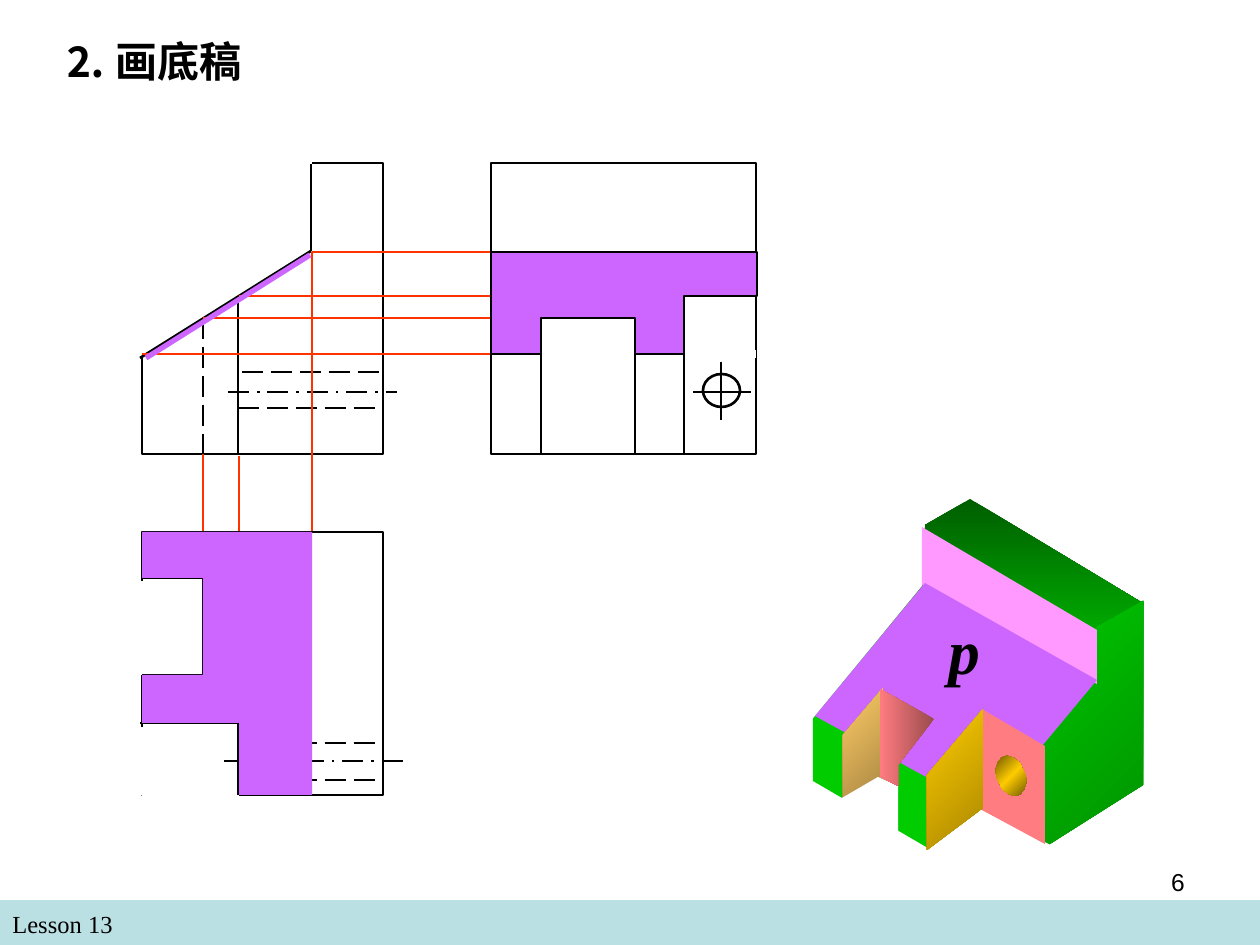
import copy
import math

import pptx
import pptx.dml.color
import pptx.enum.dml
import pptx.enum.shapes
import pptx.enum.text
import pptx.oxml.ns
import pptx.util
from lxml import etree

PX = 914400 / 126
BLACK, WHITE, RED, PURPLE, GREEN = "000000", "FFFFFF", "FF3300", "CC66FF", "00CC00"
DASH = pptx.enum.dml.MSO_LINE.LONG_DASH
DASH_DOT = pptx.enum.dml.MSO_LINE.LONG_DASH_DOT
OUTLINE, MASK = 1.5, 4.25


def px(length):
    return pptx.util.Emu(round(length * PX))


def color(value):
    return pptx.dml.color.RGBColor.from_string(value)


def paint(shape, fill=None, line=None, width=OUTLINE):
    shape.shadow.inherit = False
    if fill:
        shape.fill.solid()
        shape.fill.fore_color.rgb = color(fill)
    else:
        shape.fill.background()
    if line:
        shape.line.color.rgb = color(line)
        shape.line.width = pptx.util.Pt(width)
    else:
        shape.line.fill.background()


def paint_gradient(shape, stops, angle):
    """Spread the stop colours evenly along a clockwise angle."""
    shape.fill.gradient()
    shape.fill.gradient_angle = 360 - angle
    stop_list = shape.element.find(".//" + pptx.oxml.ns.qn("a:gsLst"))
    while len(stop_list) < len(stops):
        stop_list.append(copy.deepcopy(stop_list[-1]))
    for index, stop in enumerate(shape.fill.gradient_stops):
        stop.position = index / (len(stops) - 1)
        stop.color.rgb = color(stops[index])


def add_box(page, kind, left, top, width, height, **style):
    shape = page.shapes.add_shape(kind, px(left), px(top), px(width), px(height))
    paint(shape, **style)


def add_rectangle(page, *box, **style):
    add_box(page, pptx.enum.shapes.MSO_SHAPE.RECTANGLE, *box, **style)


def add_lines(page, left, top, segments, line=BLACK, width=OUTLINE, dash=None):
    """Draw segments (x1, y1, x2, y2) measured from left, top."""
    for x1, y1, x2, y2 in segments:
        connector = page.shapes.add_connector(
            pptx.enum.shapes.MSO_CONNECTOR.STRAIGHT,
            px(left + x1), px(top + y1), px(left + x2), px(top + y2))
        connector.line.color.rgb = color(line)
        connector.line.width = pptx.util.Pt(width)
        if dash:
            connector.line.dash_style = dash
        etree.SubElement(connector.element.spPr, pptx.oxml.ns.qn("a:effectLst"))


def add_polygon(page, left, top, points, **style):
    builder = page.shapes.build_freeform(*points[0], scale=PX)
    builder.add_line_segments(points[1:], close=True)
    shape = builder.convert_to_shape(px(left), px(top))
    paint(shape, **style)
    return shape


def add_text(page, left, top, width, height, text, size, font="Times New Roman",
             bold=False, italic=False, wrap=True, align=None):
    box = page.shapes.add_textbox(px(left), px(top), px(width), px(height))
    box.text_frame.word_wrap = wrap
    para = box.text_frame.paragraphs[0]
    para.text = text
    para.alignment = align
    span = para.runs[0]
    span.font.name = font
    span.font.size = pptx.util.Pt(size)
    span.font.bold = bold
    span.font.italic = italic
    span.font.color.rgb = color(BLACK)


def add_footer(page, left, top, width, height):
    add_rectangle(page, left, top, width, height, fill="BBE0E3")
    add_text(page, left, top + 3, 609, 43, "Lesson 13", 14)
    add_text(page, left + 903, top - 39, 294, 66, "6", 14, font="Arial",
             align=pptx.enum.text.PP_ALIGN.RIGHT)


def add_front_view(page, left, top, width, height):
    add_rectangle(page, left, top, width, height, line=BLACK)
    add_lines(page, left, top, [(86, 229, 255, 229)], dash=DASH_DOT)
    add_lines(page, left, top, [(61, 155, 61, 293), (100, 209, width, 209),
                                (96, 245, width, 245)], dash=DASH)
    add_lines(page, left, top, [(96, 134, 96, height)])
    add_lines(page, left, top, [(0, -13, 0, 194), (-17, 0, 170, 0)], WHITE, MASK)
    add_lines(page, left, top, [(169, 1, 169, 88), (169, 88, -2, 195)])


def add_projections(page, left, top):
    """Carry the front view's corners to the other views and mark face p's edge."""
    add_lines(page, left, top, [
        (170, 89, 357, 89), (0, 191, 349, 191), (61, 155, 399, 155), (97, 133, 542, 133),
        (170, 89, 170, 369), (61, 415, 61, 291), (97, 560, 97, 293)], RED, 1)
    add_lines(page, left, top, [(4, 195, 168, 92)], PURPLE, 3)


def add_side_view(page, left, top, width, height):
    add_rectangle(page, left, top, width, height, line=BLACK)
    add_box(page, pptx.enum.shapes.MSO_SHAPE.OVAL, left + 212, top + 211, 37, 33, line=BLACK)
    add_lines(page, left, top, [
        (230, 199, 230, 257), (202, 229, 260, 229), (0, 89, 262, 89),
        (50, 155, 145, 155), (193, 132, 266, 132), (3, 191, 266, 191)])
    add_lines(page, left, top, [(50, 191, 147, 191), (193, 191, width, 191)], WHITE, MASK)
    add_lines(page, left, top, [(50, 155, 50, height), (144, 155, 144, height),
                                (193, 132, 193, height)])
    add_polygon(page, left, top, [
        (0, 89), (266, 89), (266, 133), (193, 133), (193, 191), (144, 191),
        (144, 155), (50, 155), (50, 191), (0, 191)], fill=PURPLE, line=BLACK, width=0.75)


def add_top_view(page, left, top, width, height):
    add_lines(page, left, top, [(82, 229, 261, 229)], dash=DASH_DOT)
    add_lines(page, left, top, [(96, y, width, y) for y in (211, 248)], dash=DASH)
    add_rectangle(page, left, top, width, height, line=BLACK)
    add_lines(page, left, top, [(0, 143, 0, 49), (0, 195, 0, height),
                                (0, height, 97, height)], WHITE, MASK)
    add_lines(page, left, top, [
        (96, 191, -2, 191), (61, 143, 61, 46), (169, height, 169, 0),
        (0, 143, 61, 143), (61, 46, 0, 46), (96, height, 96, 191)])
    add_polygon(page, left, top, [
        (0, 0), (170, 0), (170, height), (97, height), (97, 191), (0, 191),
        (0, 143), (61, 143), (61, 46), (0, 46)], fill=PURPLE)


def add_solid(page, left, top):
    """Draw the pictorial view, face by face from back to front."""
    turns = [math.tau * step / 36 for step in range(36)]
    hole = [(round(198 + 15 * math.cos(turn)),
             round(277 + 5 * math.cos(turn) + 19 * math.sin(turn))) for turn in turns]
    faces = [
        ([(157, 0), (0, 91), (175, 191), (331, 105)], ("005E00", GREEN), 90),
        ([(330, 102), (330, 286), (175, 384), (175, 189)], ("008F00", GREEN), 225),
        ([(0, 89), (0, 282), (175, 384), (175, 191)], GREEN, None),
        ([(112, 24), (109, 87), (-3, 223), (-24, 73), (-17, 44)], WHITE, None),
        ([(109, 28), (109, 86), (284, 185), (284, 131)], "FF99FF", None),
        ([(112, 84), (284, 181), (175, 312), (2, 217)], PURPLE, None),
        ([(165, 309), (255, 355), (160, 399), (104, 360)], WHITE, None),
        ([(169, 210), (232, 247), (232, 345), (169, 311)], "FF7C80", None),
        ([(114, 276), (114, 351), (170, 309), (170, 210)], ("A98700", "FFCC00"), 225),
        (hole, ("755E00", "FFCC00", "755E00"), 225),
        ([(30, 236), (70, 189), (70, 278), (30, 301)], ("A98743", "FFCC66"), 225),
        ([(65, 278), (17, 306), (85, 339), (85, 287)], WHITE, None),
        ([(67, 190), (121, 220), (85, 266), (85, 287), (67, 278)], ("9A4B4D", "FF7C80"), 180),
    ]
    for points, fill, angle in faces:
        if angle is None:
            add_polygon(page, left, top, points, fill=fill)
        else:
            paint_gradient(add_polygon(page, left, top, points), fill, angle)
    add_text(page, left + 123, top + 106, 57, 88, "p", 36, bold=True, italic=True)


def main():
    deck = pptx.Presentation()
    deck.slide_width, deck.slide_height = px(1260), px(945)
    page = deck.slides.add_slide(deck.slide_layouts[6])
    add_footer(page, 0, 900, 1260, 45)
    add_text(page, 52, 29, 203, 63, "⒉ 画底稿", 24, bold=True, wrap=False)
    add_front_view(page, 142, 163, 241, 291)
    add_projections(page, 142, 163)
    add_side_view(page, 491, 163, 265, 291)
    add_top_view(page, 142, 532, 241, 263)
    add_solid(page, 813, 499)
    deck.save("out.pptx")


if __name__ == "__main__":
    main()
